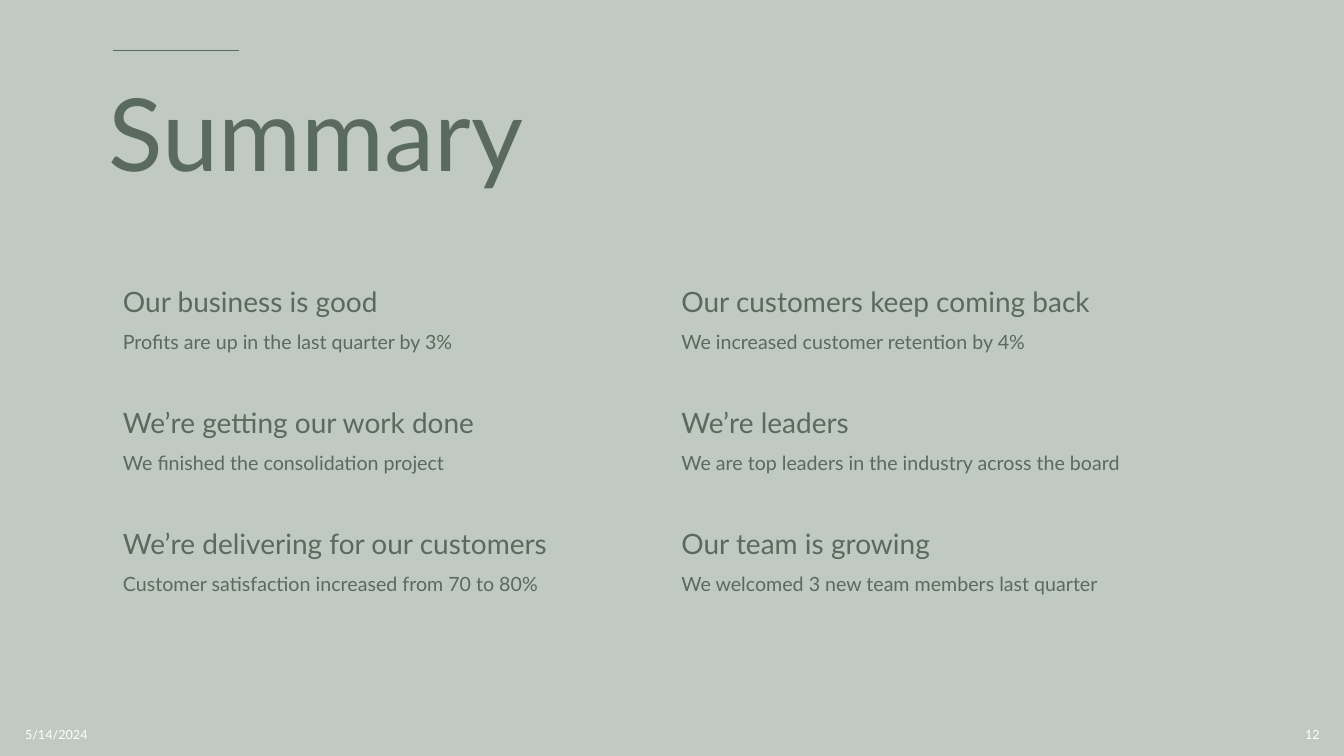
from dataclasses import dataclass

from lxml.etree import SubElement
from pptx import Presentation
from pptx.dml.color import RGBColor
from pptx.enum.shapes import MSO_CONNECTOR
from pptx.enum.text import MSO_ANCHOR, MSO_AUTO_SIZE, PP_ALIGN
from pptx.oxml.ns import qn
from pptx.slide import Slide
from pptx.table import _Cell as Cell
from pptx.text.text import _Paragraph as Paragraph
from pptx.util import Pt

SAGE = RGBColor(0xC0, 0xC9, 0xC2)
FOREST = RGBColor(0x5B, 0x6A, 0x5E)
WHITE = RGBColor(0xFF, 0xFF, 0xFF)
FONT = "Lato"
NO_STYLE_NO_GRID = "{2D5ABB26-0587-4C30-8999-92F81FD0307C}"
COLUMN_WIDTH = 398.9
ROW_HEIGHT = 86.4


@dataclass(frozen=True)
class Highlight:
    heading: str
    detail: str


@dataclass(frozen=True)
class FooterItem:
    text: str
    left: float
    alignment: PP_ALIGN


HIGHLIGHTS = [
    [
        Highlight("Our business is good", "Profits are up in the last quarter by 3%"),
        Highlight("Our customers keep coming back", "We increased customer retention by 4%"),
    ],
    [
        Highlight("We’re getting our work done", "We finished the consolidation project"),
        Highlight("We’re leaders", "We are top leaders in the industry across the board"),
    ],
    [
        Highlight("We’re delivering for our customers", "Customer satisfaction increased from 70 to 80%"),
        Highlight("Our team is growing", "We welcomed 3 new team members last quarter"),
    ],
]

FOOTER = [
    FooterItem("5/14/2024", 10.8, PP_ALIGN.LEFT),
    FooterItem("12", 733.7, PP_ALIGN.RIGHT),
]


def write(paragraph: Paragraph, text: str, size: float, color: RGBColor = FOREST,
          alignment: PP_ALIGN = PP_ALIGN.LEFT) -> None:
    paragraph.text = text
    paragraph.alignment = alignment
    paragraph.font.name = FONT
    paragraph.font.size = Pt(size)
    paragraph.font.bold = False
    paragraph.font.color.rgb = color


def add_accent_line(slide: Slide) -> None:
    line = slide.shapes.add_connector(MSO_CONNECTOR.STRAIGHT, Pt(80.6), Pt(36), Pt(170.6), Pt(36))
    line.line.color.rgb = FOREST
    line.line.width = Pt(1.25)
    SubElement(line._element.spPr, qn("a:effectLst"))


def format_title(slide: Slide) -> None:
    title = slide.shapes.title
    title.left, title.top, title.width, title.height = Pt(70.6), Pt(45.4), Pt(800), Pt(108)
    frame = title.text_frame
    frame.auto_size = MSO_AUTO_SIZE.NONE
    frame.vertical_anchor = MSO_ANCHOR.MIDDLE
    paragraph = frame.paragraphs[0]
    write(paragraph, "Summary", 72)
    paragraph.line_spacing = 0.9


def fill_cell(cell: Cell, highlight: Highlight) -> None:
    cell.fill.background()
    frame = cell.text_frame
    heading, detail = frame.paragraphs[0], frame.add_paragraph()
    write(heading, highlight.heading, 20)
    write(detail, highlight.detail, 14)
    for paragraph in (heading, detail):
        paragraph.line_spacing = 0.9
        paragraph.space_before = Pt(10)


def add_highlights(slide: Slide) -> None:
    rows, columns = len(HIGHLIGHTS), len(HIGHLIGHTS[0])
    shape = slide.shapes.add_table(rows, columns, Pt(80.6), Pt(202.3),
                                   Pt(COLUMN_WIDTH * columns), Pt(ROW_HEIGHT * rows))
    table = shape.table
    table.first_row = False
    table.horz_banding = False
    next(shape._element.iter(qn("a:tableStyleId"))).text = NO_STYLE_NO_GRID
    for row_index, row in enumerate(HIGHLIGHTS):
        for column_index, highlight in enumerate(row):
            fill_cell(table.cell(row_index, column_index), highlight)


def add_footer_item(slide: Slide, item: FooterItem) -> None:
    frame = slide.shapes.add_textbox(Pt(item.left), Pt(510.5), Pt(216), Pt(28.8)).text_frame
    frame.word_wrap = True
    frame.vertical_anchor = MSO_ANCHOR.MIDDLE
    write(frame.paragraphs[0], item.text, 9, WHITE, item.alignment)


def main() -> None:
    presentation = Presentation()
    presentation.slide_width, presentation.slide_height = Pt(960), Pt(540)
    slide = presentation.slides.add_slide(presentation.slide_layouts.get_by_name("Title Only"))
    slide.background.fill.solid()
    slide.background.fill.fore_color.rgb = SAGE
    add_accent_line(slide)
    format_title(slide)
    add_highlights(slide)
    for item in FOOTER:
        add_footer_item(slide, item)
    presentation.save("out.pptx")


if __name__ == "__main__":
    main()
